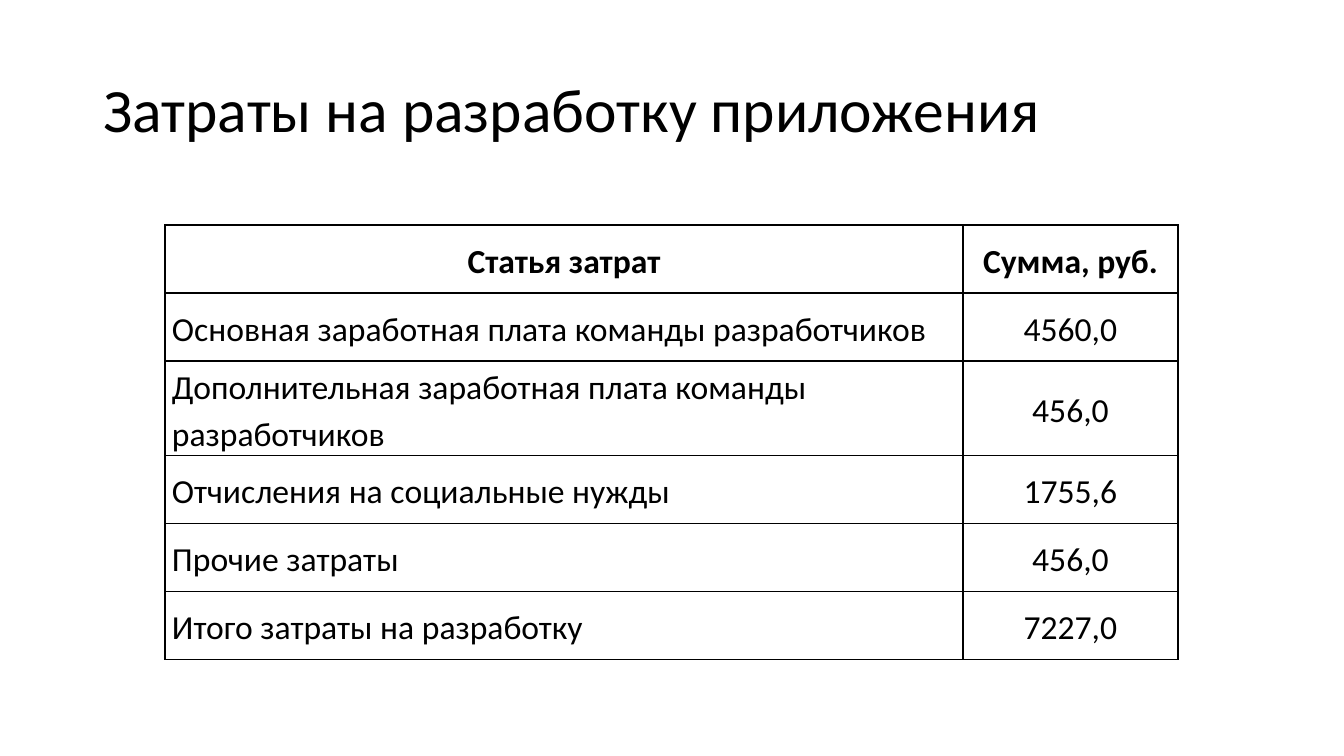
from lxml import etree
from pptx import Presentation
from pptx.dml.color import RGBColor
from pptx.enum.text import MSO_ANCHOR, PP_ALIGN
from pptx.oxml.ns import qn
from pptx.util import Pt

LEFT, CENTER = PP_ALIGN.LEFT, PP_ALIGN.CENTER
MIDDLE = MSO_ANCHOR.MIDDLE

TITLE = "Затраты на разработку приложения"
COSTS = [
    ("Статья затрат", "Сумма, руб."),
    ("Основная заработная плата команды разработчиков", "4560,0"),
    ("Дополнительная заработная плата команды разработчиков", "456,0"),
    ("Отчисления на социальные нужды", "1755,6"),
    ("Прочие затраты", "456,0"),
    ("Итого затраты на разработку", "7227,0"),
]
COLUMN_WIDTHS = [798, 215]
ROW_HEIGHTS = [68, 68, 94, 68, 68, 68]
TABLE_LEFT, TABLE_TOP = 165, 225
TITLE_BOX = (93, 40, 1159, 146)
CELL_MARGIN = 7
FONT, BLACK, WHITE = "Calibri", "000000", "FFFFFF"


def px(pixels):
    return round(pixels * 914400 / 100.8)


def color(value):
    return RGBColor.from_string(value)


def write(frame, text, size, alignment, spacing, bold=False):
    paragraph = frame.paragraphs[0]
    paragraph.alignment = alignment
    paragraph.line_spacing = spacing
    run = paragraph.add_run()
    run.text = text
    run.font.name = FONT
    run.font.size = Pt(size)
    run.font.bold = bold
    run.font.color.rgb = color(BLACK)


def add_borders(cell):
    properties = cell._tc.get_or_add_tcPr()
    for index, side in enumerate(("lnL", "lnR", "lnT", "lnB")):
        line = etree.Element(qn("a:" + side), w=str(Pt(1)))
        fill = etree.SubElement(line, qn("a:solidFill"))
        etree.SubElement(fill, qn("a:srgbClr"), val=BLACK)
        properties.insert(index, line)


presentation = Presentation()
presentation.slide_width, presentation.slide_height = px(1344), px(756)
slide = presentation.slides.add_slide(presentation.slide_layouts[5])

title = slide.shapes.title
title.left, title.top, title.width, title.height = map(px, TITLE_BOX)
title.text_frame.vertical_anchor = MIDDLE
write(title.text_frame, TITLE, 44, LEFT, 0.9)

table = slide.shapes.add_table(
    len(COSTS), len(COLUMN_WIDTHS), px(TABLE_LEFT), px(TABLE_TOP),
    px(sum(COLUMN_WIDTHS)), px(sum(ROW_HEIGHTS)),
).table
table.horz_banding = False
for column, width in zip(table.columns, COLUMN_WIDTHS):
    column.width = px(width)
for row, height in zip(table.rows, ROW_HEIGHTS):
    row.height = px(height)

for row_index, values in enumerate(COSTS):
    for column_index, value in enumerate(values):
        cell = table.cell(row_index, column_index)
        header = row_index == 0
        cell.fill.solid()
        cell.fill.fore_color.rgb = color(WHITE)
        cell.vertical_anchor = MIDDLE
        cell.margin_left = cell.margin_right = px(CELL_MARGIN)
        cell.margin_top = cell.margin_bottom = 0
        alignment = CENTER if header or column_index else LEFT
        write(cell.text_frame, value, 24, alignment, 1.15, header)
        add_borders(cell)

presentation.save("out.pptx")
